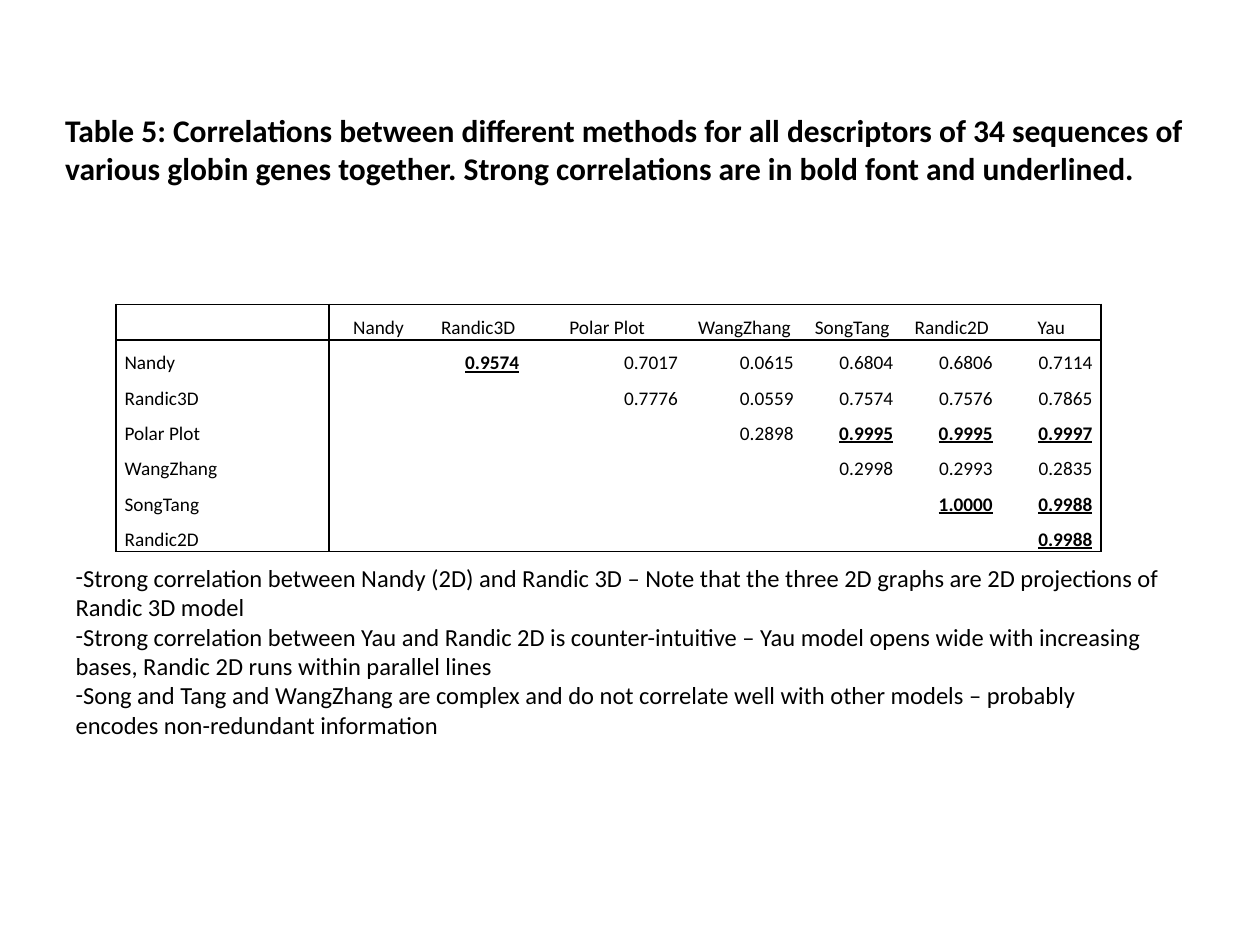
from dataclasses import dataclass

from lxml.etree import SubElement
from pptx import Presentation
from pptx.dml.color import RGBColor
from pptx.enum.text import MSO_ANCHOR, MSO_AUTO_SIZE, PP_ALIGN
from pptx.oxml.ns import qn
from pptx.util import Pt


@dataclass(frozen=True)
class Theme:
    """Colours, font and type sizes of the slide."""
    ink: str = "000000"
    font: str = "Calibri"
    title: int = 18
    body: int = 14
    cell: int = 11


THEME = Theme()
TITLE = ("Table 5: Correlations between different methods for all descriptors of 34 "
         "sequences of various globin genes together. Strong correlations are in bold "
         "font and underlined.")
NOTES = [
    "Strong correlation between Nandy (2D) and Randic 3D – Note that the three 2D "
    "graphs are 2D projections of Randic 3D model",
    "Strong correlation between Yau and Randic 2D is counter-intuitive – Yau model "
    "opens wide with increasing bases, Randic 2D runs within parallel lines",
    "Song and Tang and WangZhang are complex and do not correlate well with other "
    "models – probably encodes non-redundant information",
]
MODELS = ["Nandy", "Randic3D", "Polar Plot", "WangZhang", "SongTang", "Randic2D", "Yau"]
SCORES = [
    [0.9574, 0.7017, 0.0615, 0.6804, 0.6806, 0.7114],
    [0.7776, 0.0559, 0.7574, 0.7576, 0.7865],
    [0.2898, 0.9995, 0.9995, 0.9997],
    [0.2998, 0.2993, 0.2835],
    [1.0, 0.9988],
    [0.9988],
]
STRONG = 0.95
WIDTHS = [121.7, 56.9, 56.9, 90.7, 66.2, 56.9, 56.9, 56.9]
ROW = 20.2


def style(part, size, bold=False, line=False):
    """Format every run of a paragraph."""
    for run in part.runs:
        font = run.font
        font.name, font.size = THEME.font, Pt(size)
        font.bold, font.underline = bold, line
        font.color.rgb = RGBColor.from_string(THEME.ink)


def place(shape, left, top, width, height):
    """Move a placeholder and make its text start at the top."""
    shape.left, shape.top = Pt(left), Pt(top)
    shape.width, shape.height = Pt(width), Pt(height)
    frame = shape.text_frame
    frame.word_wrap = True
    frame.auto_size = MSO_AUTO_SIZE.NONE
    frame.vertical_anchor = MSO_ANCHOR.TOP
    return frame


def add_title(slide):
    """Fill the title placeholder."""
    frame = place(slide.shapes.title, 30, 60, 660, 51)
    frame.text = TITLE
    frame.paragraphs[0].alignment = PP_ALIGN.LEFT
    style(frame.paragraphs[0], THEME.title, bold=True)


def add_dash(part):
    """Give a paragraph a dash as its bullet."""
    props = part._p.get_or_add_pPr()
    props.set("marL", "0")
    props.set("indent", str(-Pt(7.2)))
    SubElement(SubElement(props, qn("a:buClr")), qn("a:srgbClr"), val=THEME.ink)
    SubElement(props, qn("a:buFont"), typeface=THEME.font)
    SubElement(props, qn("a:buChar"), char="-")


def add_notes(slide):
    """Fill the body placeholder with the dashed list."""
    frame = place(slide.placeholders[1], 36, 318, 636, 109)
    frame.text = "\n".join(NOTES)
    for part in frame.paragraphs:
        part.space_before = Pt(0)
        style(part, THEME.body)
        add_dash(part)


def rule(cell, sides):
    """Draw the named sides of a cell and clear the others."""
    props = cell._tc.get_or_add_tcPr()
    for side in "LRTB":
        line = SubElement(props, qn(f"a:ln{side}"), w=str(Pt(1)))
        if side in sides:
            fill = SubElement(line, qn("a:solidFill"))
            SubElement(fill, qn("a:srgbClr"), val=THEME.ink)
        else:
            SubElement(line, qn("a:noFill"))


def fill_cell(cell, text, align, strong, sides):
    """Write, align and border one cell."""
    cell.margin_left = cell.margin_right = Pt(5)
    cell.margin_top = cell.margin_bottom = Pt(0)
    cell.vertical_anchor = MSO_ANCHOR.BOTTOM
    rule(cell, sides)
    cell.fill.background()
    part = cell.text_frame.paragraphs[0]
    part.alignment = align
    if text:
        part.text = text
        part.line_spacing = 1.15
        style(part, THEME.cell, strong, strong)
    else:
        SubElement(part._p, qn("a:endParaRPr"), sz=str(THEME.cell * 100))


def edges(row, col):
    """Name the ruled sides of a cell: outer frame, header row, first column."""
    tests = {"L": col < 2, "R": col in (0, len(MODELS)),
             "T": row < 2, "B": row in (0, len(SCORES))}
    return [side for side, drawn in tests.items() if drawn]


def add_grid(slide):
    """Add the table of scores above the diagonal."""
    rows, cols = len(SCORES) + 1, len(WIDTHS)
    table = slide.shapes.add_table(rows, cols, Pt(66.2), Pt(174), Pt(sum(WIDTHS)),
                                   Pt(ROW * rows)).table
    table.first_row = table.horz_banding = False
    for col, width in zip(table.columns, WIDTHS):
        col.width = Pt(width)
    for row in range(rows):
        table.rows[row].height = Pt(ROW)
        for col in range(cols):
            text, align, strong = "", PP_ALIGN.LEFT, False
            if row == 0 and col:
                text, align = MODELS[col - 1], PP_ALIGN.CENTER
            elif row and col == 0:
                text = MODELS[row - 1]
            elif row and col > row:
                score = SCORES[row - 1][col - row - 1]
                text, align, strong = f"{score:.4f}", PP_ALIGN.RIGHT, score > STRONG
            fill_cell(table.cell(row, col), text, align, strong, edges(row, col))


def main():
    """Build the slide and save it."""
    deck = Presentation()
    deck.slide_width, deck.slide_height = Pt(720), Pt(540)
    slide = deck.slides.add_slide(deck.slide_layouts[1])
    add_grid(slide)
    add_title(slide)
    add_notes(slide)
    deck.save("out.pptx")


if __name__ == "__main__":
    main()
